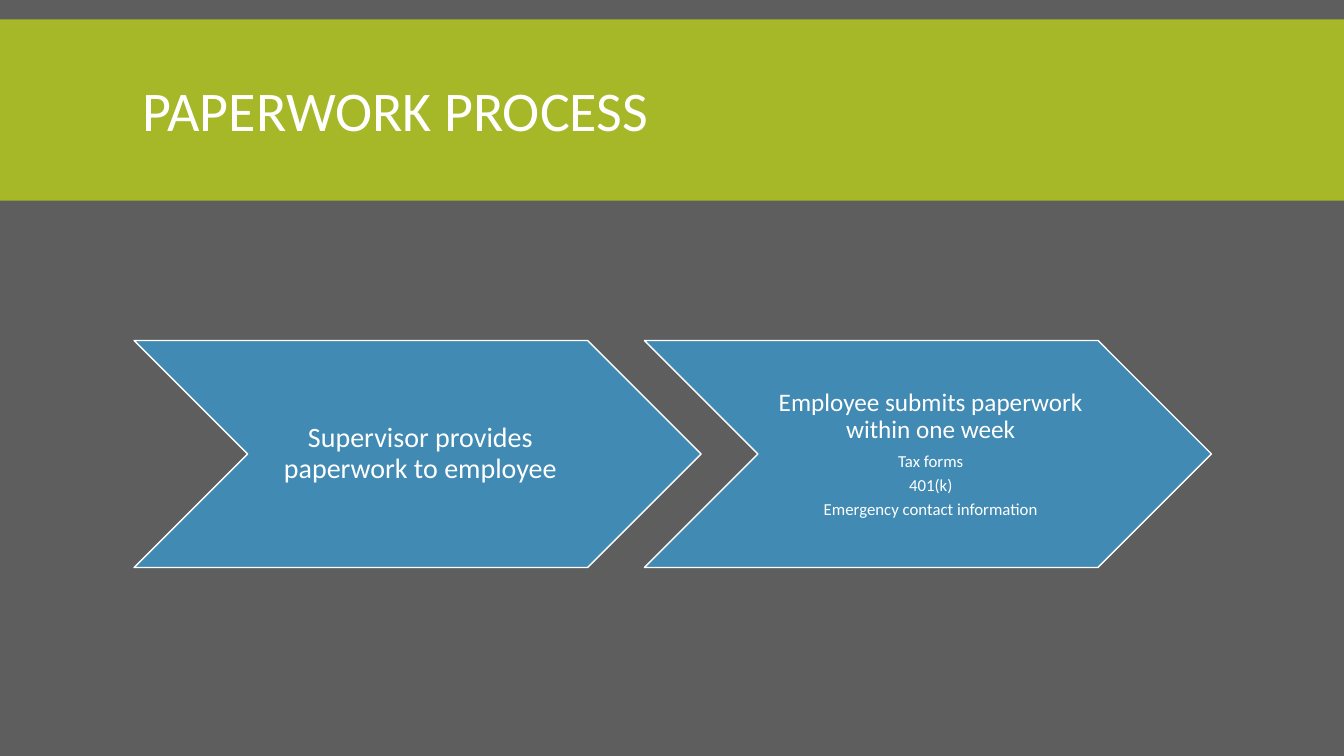
import pptx
import pptx.dml.color
import pptx.enum.shapes
import pptx.enum.text
import pptx.util

Cm = pptx.util.Cm
Pt = pptx.util.Pt
ALIGN = pptx.enum.text.PP_ALIGN
SHAPE = pptx.enum.shapes.MSO_SHAPE

SLIDE_WIDTH, SLIDE_HEIGHT = 33.87, 19.05
CHEVRON_LEFT, CHEVRON_TOP = 3.38, 8.58
CHEVRON_WIDTH, CHEVRON_HEIGHT = 14.29, 5.72
CHEVRON_STEP = 0.9 * CHEVRON_WIDTH
WHITE = "FFFFFF"

STEPS = [
    [("Supervisor provides paperwork to employee", 20)],
    [
        ("Employee submits paperwork within one week", 18),
        ("Tax forms", 12),
        ("401(k)", 12),
        ("Emergency contact information", 12),
    ],
]


def color(hex_string):
    return pptx.dml.color.RGBColor.from_string(hex_string)


def apply_format(target, values):
    for name, value in values.items():
        setattr(target, name, value)


def paint(fill, hex_string):
    fill.solid()
    fill.fore_color.rgb = color(hex_string)


def write_text(shape, lines, frame_format, paragraph_format, space_ratio=0):
    frame = shape.text_frame
    apply_format(frame, {
        "word_wrap": True,
        "vertical_anchor": pptx.enum.text.MSO_ANCHOR.MIDDLE,
        **frame_format,
    })
    for index, (text, size) in enumerate(lines):
        paragraph = frame.add_paragraph() if index else frame.paragraphs[0]
        apply_format(paragraph, {
            **paragraph_format,
            "space_after": Pt(size * space_ratio),
        })
        run = paragraph.add_run()
        run.text = text
        apply_format(run.font, {"name": "Calibri", "size": Pt(size)})
        run.font.color.rgb = color(WHITE)


def add_filled_shape(slide, kind, box, fill, line=None):
    shape = slide.shapes.add_shape(kind, *map(Cm, box))
    shape.shadow.inherit = False
    paint(shape.fill, fill)
    if line:
        paint(shape.line.fill, line)
        shape.line.width = Pt(1)
    else:
        shape.line.fill.background()
    return shape


def add_title(slide, text):
    title = slide.shapes.add_textbox(*map(Cm, (3.35, 0.79, 27.18, 4.19)))
    write_text(title, [(text, 40)], {},
               {"alignment": ALIGN.LEFT, "line_spacing": 0.85})


def add_step(slide, position, lines):
    left = CHEVRON_LEFT + position * CHEVRON_STEP
    box = (left, CHEVRON_TOP, CHEVRON_WIDTH, CHEVRON_HEIGHT)
    chevron = add_filled_shape(slide, SHAPE.CHEVRON, box, "418AB3", WHITE)
    margins = {
        "margin_left": Cm(0.21),
        "margin_right": Cm(0.07),
        "margin_top": Cm(0.07),
        "margin_bottom": Cm(0.07),
    }
    write_text(chevron, lines, margins,
               {"alignment": ALIGN.CENTER, "line_spacing": 0.9}, 0.35)


def main():
    presentation = pptx.Presentation()
    apply_format(presentation, {
        "slide_width": Cm(SLIDE_WIDTH),
        "slide_height": Cm(SLIDE_HEIGHT),
    })
    slide = presentation.slides.add_slide(presentation.slide_layouts[6])
    paint(slide.background.fill, "5E5E5E")
    add_filled_shape(slide, SHAPE.RECTANGLE, (0, 0.49, SLIDE_WIDTH, 4.57), "A6B727")
    add_title(slide, "PAPERWORK PROCESS")
    for position, lines in enumerate(STEPS):
        add_step(slide, position, lines)
    presentation.save("out.pptx")


if __name__ == "__main__":
    main()
